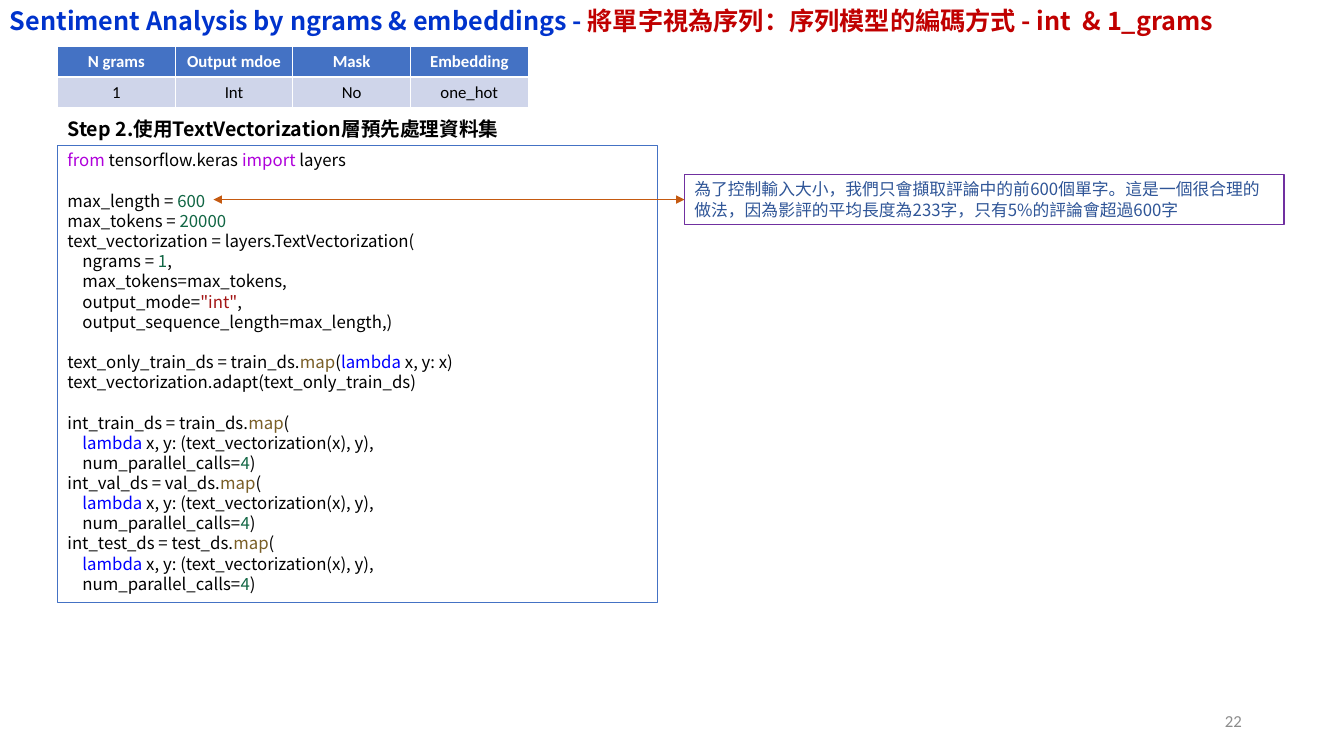
from lxml import etree
from pptx import Presentation
from pptx.dml.color import RGBColor
from pptx.enum.shapes import MSO_CONNECTOR, MSO_SHAPE
from pptx.enum.text import MSO_ANCHOR, MSO_AUTO_SIZE, PP_ALIGN
from pptx.oxml.ns import qn
from pptx.util import Cm, Pt

LEFT, CENTER, RIGHT = PP_ALIGN.LEFT, PP_ALIGN.CENTER, PP_ALIGN.RIGHT
TOP, MIDDLE = MSO_ANCHOR.TOP, MSO_ANCHOR.MIDDLE
NO_AUTOFIT = MSO_AUTO_SIZE.NONE
RECT, STRAIGHT = MSO_SHAPE.RECTANGLE, MSO_CONNECTOR.STRAIGHT

CJK, LATIN = "Noto Sans CJK SC", "Calibri"
LINE_RATIO = 1.2
COLORS = {
    "text": "000000", "white": "FFFFFF", "title": "0033CC", "accent": "C00000",
    "header": "4472C4", "band": "CFD5EA", "note": "2F5597",
    "note_line": "7030A0", "arrow": "C55A11", "page": "8C8C8C",
    "keyword": "AF00DB", "number": "116644", "string": "A31515",
    "function": "795E26", "lambda": "0000FF",
}


def rgb(name):
    return RGBColor.from_string(COLORS[name])


class SlideBuilder:
    """Holds the current slide and the text style shared by its elements."""

    def __init__(self, slide):
        self.slide = slide
        self.shapes = slide.shapes

    def add_run(self, p, text, color, size, font=CJK, bold=False):
        r = p.add_run()
        r.text = text
        r.font.name, r.font.size, r.font.bold = font, Pt(size), bold
        r.font.color.rgb = rgb(color)
        ea = etree.SubElement(r.font._element, qn("a:ea"))
        ea.set("typeface", font)

    def fill_text(self, tf, lines, size, font=CJK, bold=False, align=LEFT, anchor=TOP):
        """Fill a frame; each line is a list of (text, color), an empty one a gap."""
        tf.word_wrap = True
        tf.auto_size = NO_AUTOFIT
        tf.vertical_anchor = anchor
        pitch = Pt(size * LINE_RATIO)
        p, gap = tf.paragraphs[0], False
        for i, line in enumerate(lines):
            if not line:
                gap = True
                continue
            if i:
                p = tf.add_paragraph()
            p.alignment = align
            p.line_spacing = pitch
            p.space_before = pitch if gap else Pt(0)
            gap = False
            for text, color in line:
                self.add_run(p, text, color, size, font, bold)

    def title(self, box, runs, size):
        sp = self.shapes.title
        sp.left, sp.top, sp.width, sp.height = map(Cm, box)
        tf = sp.text_frame
        tf.margin_left = tf.margin_right = Cm(0.25)
        tf.margin_top = tf.margin_bottom = Cm(0.13)
        self.fill_text(tf, [runs], size, bold=True)

    def text(self, box, lines, size, **style):
        sp = self.shapes.add_textbox(*map(Cm, box))
        self.fill_text(sp.text_frame, lines, size, **style)

    def frame(self, box, line, lines, size):
        sp = self.shapes.add_shape(RECT, *map(Cm, box))
        sp.shadow.inherit = False
        sp.fill.background()
        sp.line.color.rgb = rgb(line)
        sp.line.width = Pt(0.75)
        self.fill_text(sp.text_frame, lines, size)

    def table(self, box, rows, size):
        table = self.shapes.add_table(len(rows), len(rows[0]), *map(Cm, box)).table
        styles = [("header", "white", True), ("band", "text", False)]
        for i, (row, (fill, color, bold)) in enumerate(zip(rows, styles)):
            for j, value in enumerate(row):
                cell = table.cell(i, j)
                cell.fill.solid()
                cell.fill.fore_color.rgb = rgb(fill)
                p = cell.text_frame.paragraphs[0]
                p.alignment = CENTER
                self.add_run(p, value, color, size, LATIN, bold)

    def double_arrow(self, start, end, color):
        s = self.shapes.add_connector(STRAIGHT, *map(Cm, start + end))
        s.line.color.rgb = rgb(color)
        s.line.width = Pt(0.5)
        ln = s._element.spPr.find(qn("a:ln"))
        for tag in ("a:headEnd", "a:tailEnd"):
            etree.SubElement(ln, qn(tag)).set("type", "triangle")
        etree.SubElement(s._element.spPr, qn("a:effectLst"))


def plain(text):
    return [(text, "text")]


def map_call(name):
    """Code lines that vectorize one of the data sets."""
    return [
        [(f"int_{name}_ds = {name}_ds.", "text"), ("map", "function"), ("(", "text")],
        [("    ", "text"), ("lambda", "lambda"),
         (" x, y: (text_vectorization(x), y),", "text")],
        [("    num_parallel_calls=", "text"), ("4", "number"), (")", "text")],
    ]


CODE = [
    [("from", "keyword"), (" tensorflow.keras ", "text"),
     ("import", "keyword"), (" layers", "text")],
    [],
    [("max_length = ", "text"), ("600", "number")],
    [("max_tokens = ", "text"), ("20000", "number")],
    plain("text_vectorization = layers.TextVectorization("),
    [("    ngrams = ", "text"), ("1", "number"), (",", "text")],
    plain("    max_tokens=max_tokens,"),
    [("    output_mode=", "text"), ('"int"', "string"), (",", "text")],
    plain("    output_sequence_length=max_length,)"),
    [],
    [("text_only_train_ds = train_ds.", "text"), ("map", "function"),
     ("(", "text"), ("lambda", "lambda"), (" x, y: x)", "text")],
    plain("text_vectorization.adapt(text_only_train_ds)"),
    [],
]
for data_set in ("train", "val", "test"):
    CODE += map_call(data_set)

NOTE = ("為了控制輸入大小，我們只會擷取評論中的前600個單字。這是一個很合理的做法，"
        "因為影評的平均長度為233字，只有5%的評論會超過600字")


def main():
    prs = Presentation()
    prs.slide_width, prs.slide_height = Cm(33.87), Cm(19.05)
    s = SlideBuilder(prs.slides.add_slide(prs.slide_layouts[5]))

    left, width, note_left, arrow_y = 1.45, 15.11, 17.25, 5.03
    s.title((0, 0, 33, 1.02), [
        ("Sentiment Analysis by ngrams & embeddings - ", "title"),
        ("將單字視為序列：序列模型的編碼方式 - int  & 1_grams", "accent")], 18)
    s.text((left, 2.82, width, 0.86),
           [plain("Step 2.使用TextVectorization層預先處理資料集")], 14, bold=True)
    s.table((left, 1.17, 11.86, 1.53), [
        ["N grams", "Output mdoe", "Mask", "Embedding"],
        ["1", "Int", "No", "one_hot"]], 12)
    s.frame((left, 3.66, width, 11.53), "header", CODE, 12)
    s.frame((note_left, 4.39, width, 1.27), "note_line", [[(NOTE, "note")]], 12)
    s.double_arrow((5.38, arrow_y), (note_left, arrow_y), "arrow")
    s.text((23.93, 17.65, 7.62, 1.02), [[("22", "page")]], 12,
           font=LATIN, align=RIGHT, anchor=MIDDLE)
    prs.save("out.pptx")


if __name__ == "__main__":
    main()
